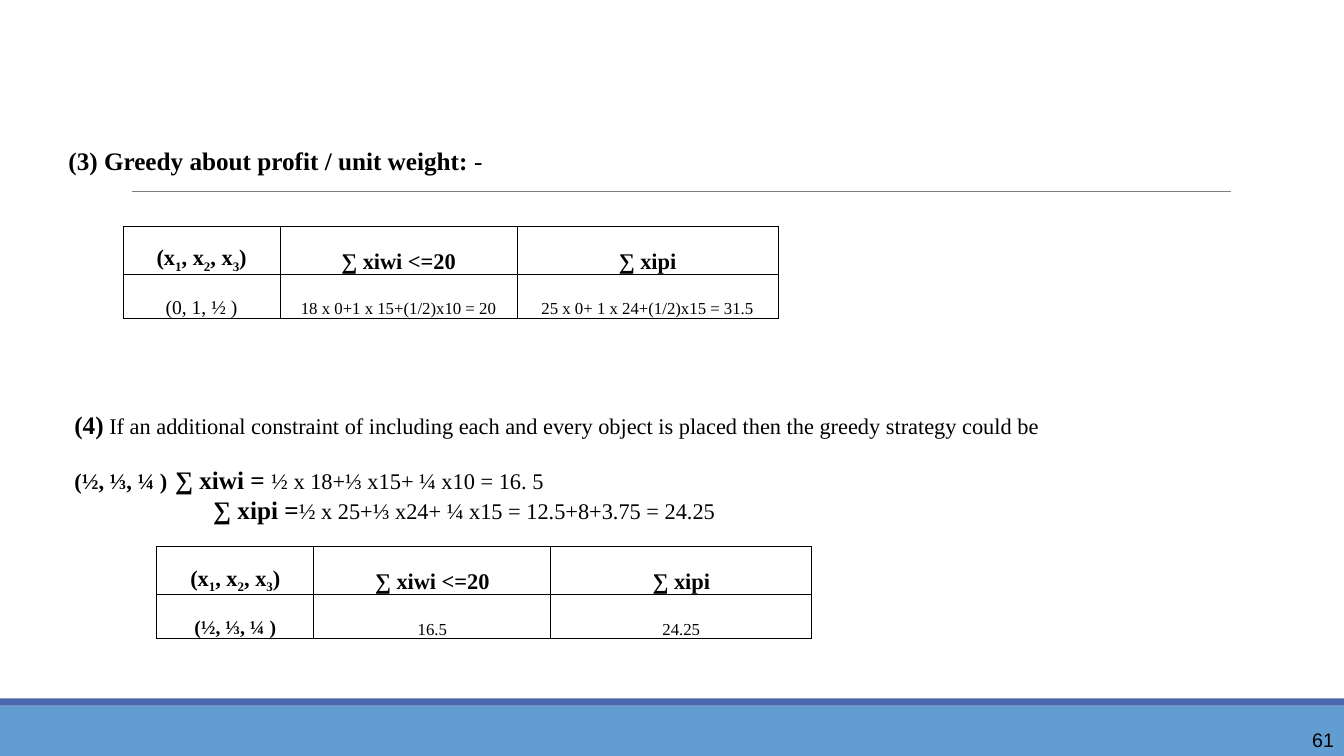
import pptx
import pptx.util
import pptx.dml.color
import pptx.enum.shapes
import pptx.enum.text
import pptx.oxml
import pptx.oxml.ns
import lxml.etree

Cm = pptx.util.Cm
Pt = pptx.util.Pt
ALIGN = pptx.enum.text.PP_ALIGN
ANCHOR = pptx.enum.text.MSO_ANCHOR
SERIF = "Times New Roman"
BLACK = "000000"


def color(hex_value):
    return pptx.dml.color.RGBColor.from_string(hex_value)


def write_runs(paragraph, parts):
    for text, size, bold, baseline in parts:
        run = paragraph.add_run()
        run.text = text
        run.font.name = SERIF
        run.font.size = Pt(size)
        run.font.bold = bold
        run.font.color.rgb = color(BLACK)
        if baseline:
            run._r.get_or_add_rPr().set("baseline", str(baseline))


deck = pptx.Presentation()
deck.slide_width = Cm(33.87)
deck.slide_height = Cm(19.05)
slide = deck.slides.add_slide(deck.slide_layouts[1])
slide.shapes.title._element.getparent().remove(slide.shapes.title._element)

for top, height, fill in [(17.78, 1.27, "629DD1"), (17.6, 0.18, "4A66AC")]:
    footer_band = slide.shapes.add_shape(
        pptx.enum.shapes.MSO_SHAPE.RECTANGLE, 0, Cm(top), deck.slide_width, Cm(height))
    footer_band.shadow.inherit = False
    footer_band.fill.solid()
    footer_band.fill.fore_color.rgb = color(fill)
    footer_band.line.fill.background()

heading_rule = slide.shapes.add_connector(
    pptx.enum.shapes.MSO_CONNECTOR.STRAIGHT, Cm(3.33), Cm(4.82), Cm(31.01), Cm(4.82))
heading_rule.line.color.rgb = color("7F7F7F")
heading_rule.line.width = Pt(0.75)
lxml.etree.SubElement(heading_rule._element.spPr, pptx.oxml.ns.qn("a:effectLst"))

body_lines = [
    (0, 0, [("(3) Greedy about profit / unit weight:", 18, True, 0), (" -", 18, False, 0)]),
    (171, 0.15, [
        ("(4)", 18, True, 0),
        (" If an additional constraint of including each and every object is placed"
         " then the greedy strategy could be", 16, False, 0)]),
    (22.4, 0.15, [
        ("(½, ⅓, ¼ )\t", 16, True, 0), ("∑ xiwi = ", 18, True, 0),
        ("½ x 18+⅓ x15+ ¼ x10 = 16. 5", 16, False, 0)]),
    (3.6, 3.65, [
        ("∑ xipi =", 18, True, 0),
        ("½ x 25+⅓ x24+ ¼ x15 = 12.5+8+3.75 = 24.25", 16, False, 0)]),
]
body = slide.placeholders[1]
body.left, body.top, body.width, body.height = Cm(1.47), Cm(2.87), Cm(30.48), Cm(11.43)
body_frame = body.text_frame
body_frame.margin_top = Cm(0.94)
for index, (space_before, indent, parts) in enumerate(body_lines):
    paragraph = body_frame.add_paragraph() if index else body_frame.paragraphs[0]
    properties = paragraph._p.get_or_add_pPr()
    properties.set("marL", str(Cm(indent)))
    properties.set("indent", "0")
    lxml.etree.SubElement(properties, pptx.oxml.ns.qn("a:buNone"))
    if "\t" in parts[0][0]:
        tab_list = lxml.etree.SubElement(properties, pptx.oxml.ns.qn("a:tabLst"))
        lxml.etree.SubElement(
            tab_list, pptx.oxml.ns.qn("a:tab"), pos=str(Cm(6.2)), algn="l")
    paragraph.line_spacing = 0.8
    paragraph.space_before = Pt(space_before)
    write_runs(paragraph, parts)

header_row = [
    [("(x", 16, True, 0), ("1", 16, True, -25000), (", x", 16, True, 0),
     ("2", 16, True, -25000), (", x", 16, True, 0), ("3", 16, True, -25000),
     (")", 16, True, 0)],
    [("∑ xiwi <=20", 16, True, 0)],
    [("∑ xipi", 16, True, 0)],
]
solutions = [
    (3.1, 5.7, [("(0, 1, ½ )", 14, False, 0), ("18 x 0+1 x 15+(1/2)x10 = 20", 12, False, 0),
                ("25 x 0+ 1 x 24+(1/2)x15 = 31.5", 12, False, 0)]),
    (3.95, 13.77, [("(½, ⅓, ¼ )", 14, True, 0), ("16.5", 12, False, 0),
                   ("24.25", 12, False, 0)]),
]
column_widths = [3.96, 5.97, 6.58]
row_heights = [1.21, 1.12]
for left, top, values in solutions:
    solution = slide.shapes.add_table(
        2, 3, Cm(left), Cm(top), Cm(sum(column_widths)), Cm(sum(row_heights))).table
    solution.first_row = False
    solution.horz_banding = False
    for column, width in zip(solution.columns, column_widths):
        column.width = Cm(width)
    for row, height in zip(solution.rows, row_heights):
        row.height = Cm(height)
    cell_parts = header_row + [[value] for value in values]
    for cell, parts in zip(solution.iter_cells(), cell_parts):
        cell.vertical_anchor = ANCHOR.BOTTOM
        cell.margin_left = cell.margin_right = cell.margin_top = Cm(0.03)
        cell.margin_bottom = 0
        cell_properties = cell._tc.get_or_add_tcPr()
        for side in ("lnL", "lnR", "lnT", "lnB"):
            border = lxml.etree.SubElement(
                cell_properties, pptx.oxml.ns.qn("a:" + side), w=str(Pt(0.75)))
            border_fill = lxml.etree.SubElement(border, pptx.oxml.ns.qn("a:solidFill"))
            lxml.etree.SubElement(border_fill, pptx.oxml.ns.qn("a:srgbClr"), val=BLACK)
        cell.fill.background()
        paragraph = cell.text_frame.paragraphs[0]
        paragraph.alignment = ALIGN.CENTER
        write_runs(paragraph, parts)

page_number = slide.shapes.add_textbox(Cm(26.81), Cm(17.78), Cm(7.06), Cm(1.27))
page_number.text_frame.word_wrap = True
page_number.text_frame.vertical_anchor = ANCHOR.BOTTOM
page_number.text_frame.text = "61"
page_paragraph = page_number.text_frame.paragraphs[0]
page_paragraph.alignment = ALIGN.RIGHT
page_font = page_paragraph.runs[0].font
page_font.name = "Arial"
page_font.size = Pt(14)
page_font.color.rgb = color(BLACK)

deck.save("out.pptx")
